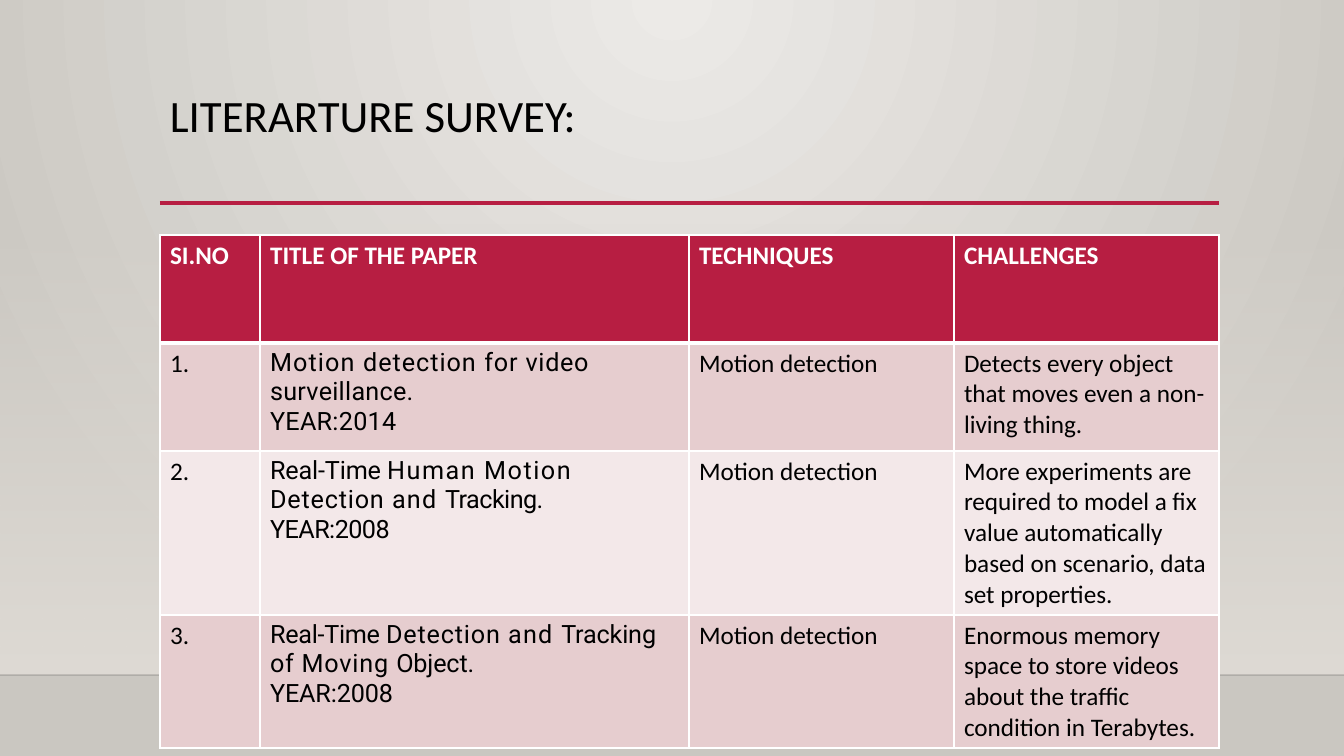
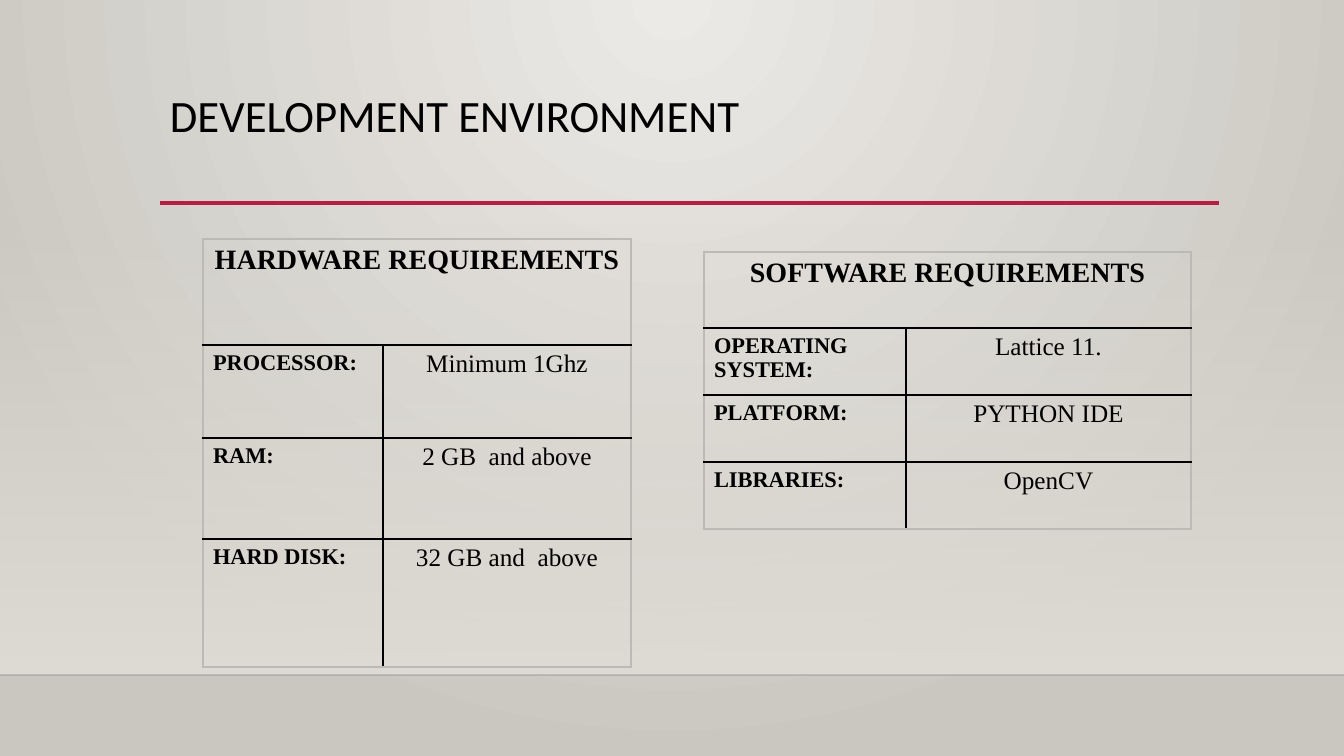
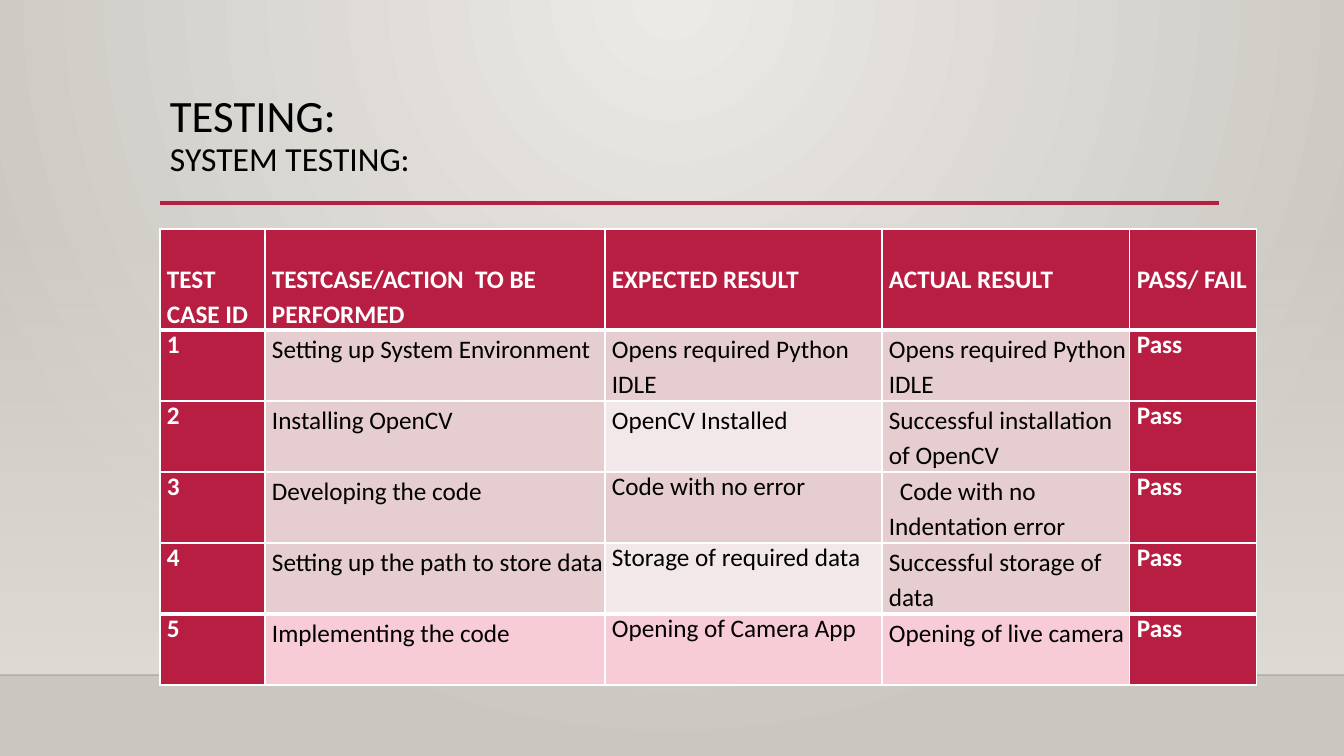
"""Builds three project slides: literature survey, development environment and testing."""
from lxml import etree
from pptx import Presentation
from pptx import util as u
from pptx.dml.color import RGBColor
from pptx.enum import shapes, text
from pptx.oxml import parse_xml
from pptx.oxml.ns import nsdecls, qn

WIDTH, HEIGHT = 1344, 756
SCALE = 12192000 / WIDTH
COLORS = {
    "glow": "ECEAE7", "edge": "CAC7C1", "band": "DFDBD5", "floor": "000001",
    "accent": "B71E42", "rose": "E6CDCF", "pale": "F3E8E9", "pink": "F7CCD6",
    "white": "FFFFFF", "black": "000000", "frame": "BDBAB6",
}
FONTS = {
    "title": {"name": "Calibri", "size": u.Pt(32), "color": "black"},
    "subtitle": {"name": "Calibri", "size": u.Pt(24), "color": "black"},
    "head": {"name": "Calibri", "size": u.Pt(18), "bold": True, "color": "white"},
    "body": {"name": "Calibri", "size": u.Pt(18), "bold": False, "color": "black"},
    "paper": {"name": "Roboto", "size": u.Pt(18), "bold": False, "color": "black"},
    "group": {"name": "Times New Roman", "size": u.Pt(20), "bold": True, "color": "black"},
    "label": {"name": "Times New Roman", "size": u.Pt(16), "bold": True, "color": "black"},
    "value": {"name": "Times New Roman", "size": u.Pt(18), "bold": False, "color": "black"},
}
CENTER = text.PP_ALIGN.CENTER


def px(length):
    return u.Emu(round(length * SCALE))


def rgb(color):
    return RGBColor.from_string(COLORS[color])


def set_gradient(parent, stops, direction):
    marks = "".join(
        f'<a:gs pos="{pos}"><a:srgbClr val="{COLORS[color]}"><a:alpha val="{alpha}"/></a:srgbClr></a:gs>'
        for pos, color, alpha in stops)
    gradient = parse_xml(f'<a:gradFill {nsdecls("a")} rotWithShape="1">'
                         f'<a:gsLst>{marks}</a:gsLst>{direction}</a:gradFill>')
    parent.replace(parent.find(qn("a:solidFill")), gradient)


class Deck:
    def __init__(self):
        self.prs = Presentation()
        self.prs.slide_width, self.prs.slide_height = px(WIDTH), px(HEIGHT)
        master = self.prs.slide_master
        master.background.fill.solid()
        set_gradient(
            master.element.find(".//" + qn("p:bgPr")),
            [(0, "glow", 100000), (100000, "edge", 100000)],
            '<a:path path="circle"><a:fillToRect l="43000" t="0" r="43000" b="100000"/></a:path>')
        self.slide = None

    def new_slide(self, title, subtitle=None):
        self.slide = self.prs.slides.add_slide(self.prs.slide_layouts[6])
        self.band(223, 452)
        self.rule(0, WIDTH, 675, "floor", 1, alpha=20000)
        self.rule(160, 1219, 203, "accent", 2.5)
        self.title(title, subtitle)

    def band(self, top, height):
        band = self.slide.shapes.add_shape(
            shapes.MSO_SHAPE.RECTANGLE, 0, px(top), px(WIDTH), px(height))
        band.shadow.inherit = False
        band.line.fill.background()
        band.fill.solid()
        set_gradient(band.element.spPr, [(0, "band", 0), (100000, "band", 100000)],
                     '<a:lin ang="5400000" scaled="0"/>')

    def rule(self, left, right, y, color, points, alpha=None):
        rule = self.slide.shapes.add_connector(
            shapes.MSO_CONNECTOR.STRAIGHT, px(left), px(y), px(right), px(y))
        rule.line.color.rgb = rgb(color)
        rule.line.width = u.Pt(points)
        properties = rule.element.spPr
        if alpha:
            tint = properties.find(".//" + qn("a:srgbClr"))
            etree.SubElement(tint, qn("a:alpha")).set("val", str(alpha))
        etree.SubElement(properties, qn("a:effectLst"))

    def title(self, title, subtitle):
        frame = self.slide.shapes.add_textbox(px(160), px(89), px(1059), px(116)).text_frame
        frame.word_wrap = True
        self.put_text(frame.paragraphs[0], title, "title", line_spacing=0.9)
        if subtitle:
            self.put_text(frame.add_paragraph(), subtitle, "subtitle", line_spacing=0.9)

    def put_text(self, paragraph, content, font, **layout):
        for key, value in layout.items():
            setattr(paragraph, key, value)
        pieces = [(content, 0)] if isinstance(content, str) else content
        for words, spacing in pieces:
            run = paragraph.add_run()
            run.text = words
            for key, value in FONTS[font].items():
                if key == "color":
                    run.font.color.rgb = rgb(value)
                else:
                    setattr(run.font, key, value)
            if spacing:
                run.font._element.set("spc", str(round(spacing * 100)))

    def borders(self, cell, sides):
        properties = cell._tc.get_or_add_tcPr()
        for side, (color, points) in sides.items():
            properties.append(parse_xml(
                f'<a:ln{side} {nsdecls("a")} w="{u.Pt(points)}"><a:solidFill>'
                f'<a:srgbClr val="{COLORS[color]}"/></a:solidFill></a:ln{side}>'))

    def table(self, left, top, cols, heights, rows, look, inner="white", outer="white",
              thick=(), span_head=False):
        grid = self.slide.shapes.add_table(
            len(rows), len(cols), px(left), px(top), px(sum(cols)), px(sum(heights))).table
        grid.first_row = grid.horz_banding = False
        for column, width in zip(grid.columns, cols):
            column.width = px(width)
        for row, height in zip(grid.rows, heights):
            row.height = px(height)
        if span_head:
            grid.cell(0, 0).merge(grid.cell(0, len(cols) - 1))
        for r, row in enumerate(rows):
            for c in range(len(cols)):
                cell = grid.cell(r, c)
                joined = span_head and r == 0

                def across(edge):
                    return (outer if joined or edge in (0, len(cols)) else inner, 1)

                def along(edge):
                    return (outer if edge in (0, len(rows)) else inner, 3 if edge in thick else 1)

                self.borders(cell, {"L": across(c), "R": across(c + 1),
                                    "T": along(r), "B": along(r + 1)})
                style = look(r, c)
                if style.get("fill"):
                    cell.fill.solid()
                    cell.fill.fore_color.rgb = rgb(style["fill"])
                else:
                    cell.fill.background()
                for key, value in style.get("margins", {}).items():
                    setattr(cell, "margin_" + key, px(value))
                if c < len(row):
                    self.fill_cell(cell, row[c], style)

    def fill_cell(self, cell, content, style):
        frame = cell.text_frame
        paragraphs = [content] if isinstance(content, str) else content
        for i, item in enumerate(paragraphs):
            paragraph = frame.add_paragraph() if i else frame.paragraphs[0]
            self.put_text(paragraph, item, style["font"], **style.get("layout", {}))
            if style.get("indent"):
                paragraph._p.get_or_add_pPr().set("indent", str(px(style["indent"])))


def survey_look(r, c):
    if r == 0:
        return {"font": "head", "fill": "accent"}
    return {"font": "paper" if c == 1 else "body", "fill": "rose" if r % 2 else "pale"}


def requirement_look(r, c):
    if r == 0:
        return {"font": "group", "layout": {"alignment": CENTER}}
    if c == 0:
        return {"font": "label"}
    return {"font": "value", "layout": {"alignment": CENTER}}


def testing_look(r, c):
    margins = {"left": 7, "right": 0, "top": 0 if r else 31, "bottom": 0}
    outer_column = c in (0, 4)
    single = r > 0 and (outer_column or (c == 2 and r > 2))
    if r == 0 or outer_column:
        fill = "accent"
    elif r == 5:
        fill = "pink"
    else:
        fill = "pale" if c == 2 and r % 2 == 0 else "rose"
    return {
        "font": "head" if fill == "accent" else "body", "fill": fill, "margins": margins,
        "layout": {"line_spacing": 1.0 if single else 1.15},
        "indent": 11 if (r, c) == (3, 3) else 0,
    }


def main():
    deck = Deck()

    deck.new_slide("LITERARTURE SURVEY:")
    motion_paper = [
        [("Motion ", 0.8), ("detection ", 0.7), ("for ", 0.6), ("video ", 0.5), ("surveillance.", 0.2)],
        [("YEAR:2014", 0.2)]]
    human_paper = [
        [("Real-Time ", -0.1), ("Human Motion ", 1.1), ("Detection ", 0.6), ("and ", 0.9),
         ("Tracking.", -0.4)],
        [("YEAR:2008", -0.4)]]
    object_paper = [
        [("Real-Time ", -0.2), ("Detection ", 0.6), ("and ", 0.9), ("Tracking ", -0.1), ("of ", 0.5),
         ("Moving ", 0.6), ("Object.", -0.1)],
        [("YEAR:2008", -0.1)]]
    deck.table(160, 235, [100, 429, 265, 265], [108, 108, 164, 133], [
        ["SI.NO", "TITLE OF THE PAPER", "TECHNIQUES", "CHALLENGES"],
        ["1.", motion_paper, "Motion detection",
         "Detects every object that moves even a non-living thing."],
        ["2.", human_paper, "Motion detection",
         "More experiments are required to model a fix value automatically based on scenario, "
         "data set properties."],
        ["3.", object_paper, "Motion detection",
         "Enormous memory space to store videos about the traffic condition in Terabytes."],
    ], survey_look, thick=(1,))

    deck.new_slide("DEVELOPMENT ENVIRONMENT")
    requirements = [
        (203, 239, [180, 248], [106, 93, 101, 128], [
            ["HARDWARE REQUIREMENTS"],
            ["PROCESSOR:", "Minimum 1Ghz"],
            ["RAM:", "2 GB  and above"],
            ["HARD DISK:", "32 GB and  above"]]),
        (704, 252, [202, 285], [76, 67, 67, 67], [
            ["SOFTWARE REQUIREMENTS"],
            ["OPERATING SYSTEM:", "Lattice 11."],
            ["PLATFORM:", "PYTHON IDE"],
            ["LIBRARIES:", "OpenCV"]]),
    ]
    for left, top, cols, heights, rows in requirements:
        deck.table(left, top, cols, heights, rows, requirement_look,
                   inner="black", outer="frame", span_head=True)

    deck.new_slide("TESTING:", "SYSTEM TESTING:")
    cases = [
        ("Setting up System Environment", "Opens required Python IDLE", "Opens required Python IDLE"),
        ("Installing OpenCV", "OpenCV Installed", "Successful installation of OpenCV"),
        ("Developing the code", "Code with no error", "Code with no Indentation error"),
        ("Setting up the path to store data", "Storage of required data", "Successful storage of data"),
        ("Implementing the code", "Opening of Camera App", "Opening of live camera"),
    ]
    header = ["TEST CASE ID", "TESTCASE/ACTION  TO BE PERFORMED", "EXPECTED RESULT",
              "ACTUAL RESULT", "PASS/ FAIL"]
    deck.table(160, 229, [105, 340, 277, 248, 127], [101] + [71] * len(cases),
               [header] + [[str(i), *case, "Pass"] for i, case in enumerate(cases, 1)],
               testing_look, thick=(1, 5))

    deck.prs.save("out.pptx")


if __name__ == "__main__":
    main()
